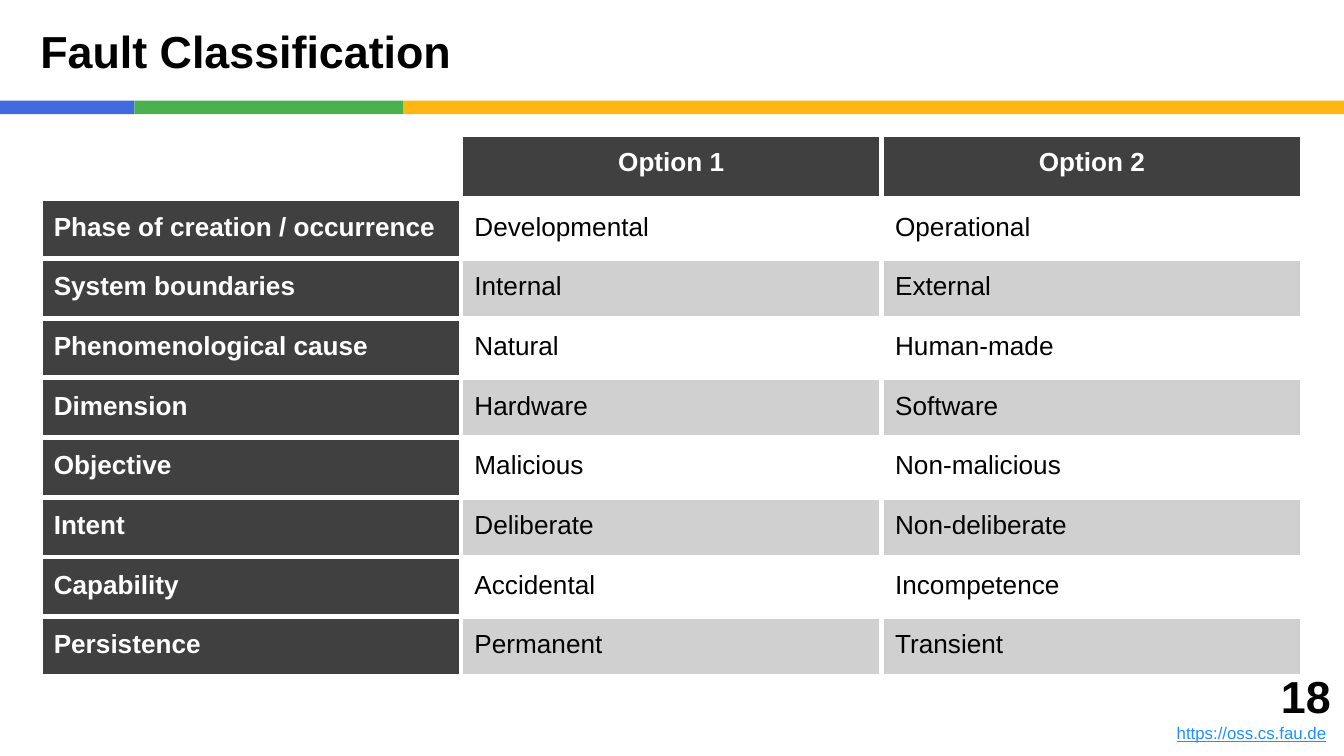
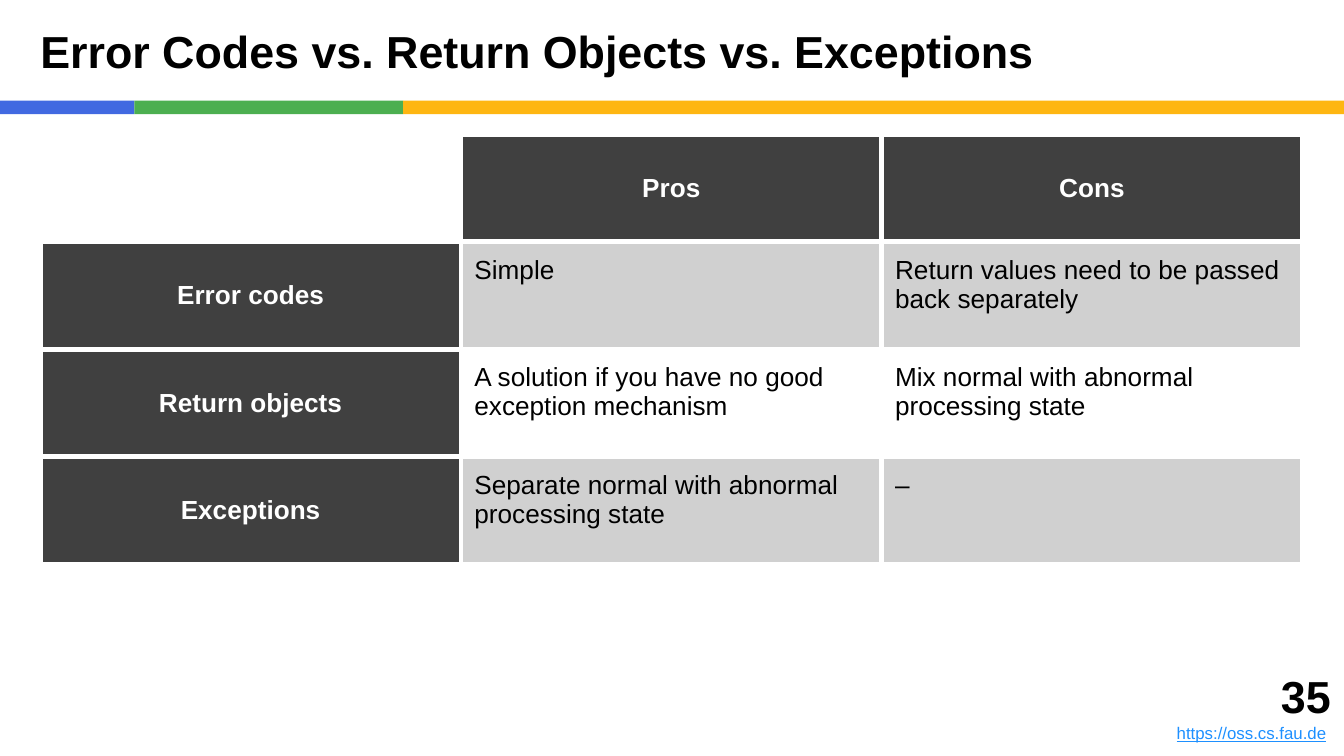
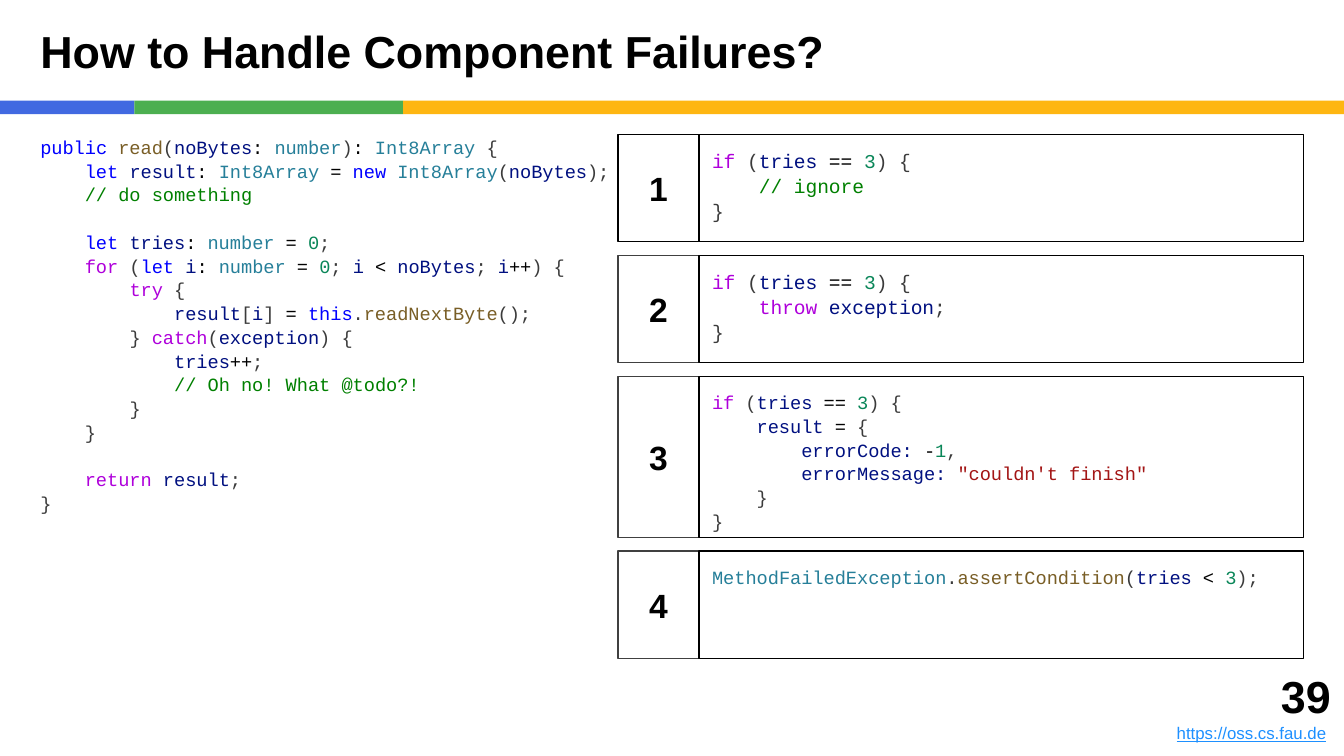
from itertools import groupby

from lxml import etree
from pptx import Presentation
from pptx.dml.color import RGBColor
from pptx.enum import shapes, text
from pptx.oxml import ns
from pptx.util import Inches, Pt

BLACK = RGBColor(0x00, 0x00, 0x00)
WHITE = RGBColor(0xFF, 0xFF, 0xFF)
DARK = RGBColor(0x40, 0x40, 0x40)
GREY = RGBColor(0xD0, 0xD0, 0xD0)
BLUE = RGBColor(0x41, 0x69, 0xE1)
GREEN = RGBColor(0x4C, 0xAF, 0x50)
YELLOW = RGBColor(0xFE, 0xB6, 0x12)
LINK = RGBColor(0x1E, 0x90, 0xFF)

PUNCTUATION = RGBColor(0x3B, 0x3B, 0x3B)
VARIABLE = RGBColor(0x00, 0x10, 0x80)
DECLARATION = RGBColor(0x00, 0x00, 0xFF)
CONTROL = RGBColor(0xAF, 0x00, 0xDB)
FUNCTION = RGBColor(0x79, 0x5E, 0x26)
TYPE = RGBColor(0x26, 0x7F, 0x99)
NUMBER = RGBColor(0x09, 0x86, 0x58)
COMMENT = RGBColor(0x00, 0x80, 0x00)
STRING = RGBColor(0xA3, 0x15, 0x15)

WORD_GROUPS = [
    (DECLARATION, "public let new this"),
    (CONTROL, "if for try catch throw return"),
    (FUNCTION, "read readNextByte assertCondition"),
    (TYPE, "number Int8Array MethodFailedException"),
    (NUMBER, "0 1 3"),
]
WORD_COLORS = {word: color for color, words in WORD_GROUPS for word in words.split()}

SITE = "https://oss.cs.fau.de"
LEFT, TOP = 0.3, 1
COLUMN_WIDTH = 3.13
BANDS = [(0, 1, BLUE), (1, 2, GREEN), (3, 7, YELLOW)]


def style_text(paragraph, size, color, bold=False, alignment=text.PP_ALIGN.LEFT):
    paragraph.alignment = alignment
    for run in paragraph.runs:
        run.font.name = "Arial"
        run.font.size = Pt(size)
        run.font.bold = bold
        run.font.color.rgb = color


def write_code(frame, code, size):
    for index, line in enumerate(code.split("\n")):
        paragraph = frame.add_paragraph() if index else frame.paragraphs[0]
        paragraph.alignment = text.PP_ALIGN.LEFT
        paragraph.line_spacing = 1.06
        paragraph.font.size = Pt(size)
        statement, slashes, comment = line.partition("//")
        word_colon = ":" if statement.strip().startswith("error") else ""
        pieces = []
        for position, part in enumerate(statement.split('"')):
            if position % 2:
                pieces.append((f'"{part}"', STRING))
                continue
            for is_word, characters in groupby(part, lambda c: c.isalnum() or c == word_colon):
                token = "".join(characters)
                if is_word:
                    pieces.append((token, WORD_COLORS.get(token, VARIABLE)))
                    continue
                for is_operator, symbols in groupby(token, lambda c: c in ":=<+-"):
                    pieces.append(("".join(symbols), BLACK if is_operator else PUNCTUATION))
        if slashes:
            pieces.append((slashes + comment, COMMENT))
        for token, color in pieces:
            run = paragraph.add_run()
            run.text = token
            run.font.name = "Courier New"
            run.font.size = Pt(size)
            run.font.color.rgb = color


presentation = Presentation()
presentation.slide_width = Inches(10)
presentation.slide_height = Inches(5.625)
layout = presentation.slide_layouts[5]

slides = []
for title_text, page in [
    ("Fault Classification", "18"),
    ("Error Codes vs. Return Objects vs. Exceptions", "35"),
    ("How to Handle Component Failures?", "39"),
]:
    slide = presentation.slides.add_slide(layout)
    slides.append(slide)
    title = slide.shapes.title
    title.left, title.top, title.width, title.height = 0, 0, Inches(10), Inches(0.75)
    frame = title.text_frame
    frame.text = title_text
    frame.auto_size = text.MSO_AUTO_SIZE.NONE
    frame.vertical_anchor = text.MSO_ANCHOR.MIDDLE
    frame.margin_left = Inches(LEFT)
    frame.margin_right = frame.margin_top = frame.margin_bottom = Inches(0.1)
    style_text(frame.paragraphs[0], 24, BLACK, True)

    footer = slide.shapes.add_textbox(Inches(8), Inches(4.83), Inches(2), Inches(0.8))
    frame = footer.text_frame
    frame.word_wrap = True
    frame.vertical_anchor = text.MSO_ANCHOR.BOTTOM
    frame.margin_left = frame.margin_right = Inches(0.1)
    frame.margin_top = frame.margin_bottom = Inches(0.1)
    frame.text = page
    style_text(frame.paragraphs[0], 24, BLACK, True, text.PP_ALIGN.RIGHT)
    paragraph = frame.add_paragraph()
    paragraph.text = SITE
    paragraph.add_run().text = " "
    style_text(paragraph, 9, LINK, False, text.PP_ALIGN.RIGHT)
    paragraph.runs[0].font.underline = True

for index, (left, width, color) in enumerate(BANDS):
    band = slides[0].shapes.add_shape(
        shapes.MSO_SHAPE.RECTANGLE, Inches(left), Inches(0.75), Inches(width), Inches(0.1))
    band.shadow.inherit = False
    band.fill.solid()
    band.fill.fore_color.rgb = color
    band.line.fill.background()
    band.element.nvSpPr.cNvPr.id = 20 + index
    layout.shapes.element.append(band.element)

FAULTS = [
    ("", "Option 1", "Option 2"),
    ("Phase of creation / occurrence", "Developmental", "Operational"),
    ("System boundaries", "Internal", "External"),
    ("Phenomenological cause", "Natural", "Human-made"),
    ("Dimension", "Hardware", "Software"),
    ("Objective", "Malicious", "Non-malicious"),
    ("Intent", "Deliberate", "Non-deliberate"),
    ("Capability", "Accidental", "Incompetence"),
    ("Persistence", "Permanent", "Transient"),
]
MECHANISMS = [
    ("", "Pros", "Cons"),
    ("Error codes", "Simple", "Return values need to be passed back separately"),
    ("Return objects", "A solution if you have no good exception mechanism",
     "Mix normal with abnormal processing state"),
    ("Exceptions", "Separate normal with abnormal processing state", "–"),
]

for slide, rows, header_height, row_height, grey_remainder, centered in [
    (slides[0], FAULTS, 0.48, 4 / 9, 0, False),
    (slides[1], MECHANISMS, 0.8, 0.8, 1, True),
]:
    height = header_height + row_height * (len(rows) - 1)
    table = slide.shapes.add_table(
        len(rows), 3, Inches(LEFT), Inches(TOP), Inches(3 * COLUMN_WIDTH), Inches(height)).table
    table.first_row = table.horz_banding = False
    for column in table.columns:
        column.width = Inches(COLUMN_WIDTH)
    for row_index, row in enumerate(rows):
        table.rows[row_index].height = Inches(row_height if row_index else header_height)
        for column_index, value in enumerate(row):
            cell = table.cell(row_index, column_index)
            properties = cell._tc.get_or_add_tcPr()
            for side in ("lnL", "lnR", "lnT", "lnB"):
                border = etree.SubElement(properties, ns.qn(f"a:{side}"), w=str(Pt(3)))
                fill = etree.SubElement(border, ns.qn("a:solidFill"))
                etree.SubElement(fill, ns.qn("a:srgbClr"), val=str(WHITE))
            if not value:
                cell.fill.background()
                continue
            is_header = row_index == 0
            is_label = is_header or column_index == 0
            cell.fill.solid()
            if is_label:
                cell.fill.fore_color.rgb = DARK
            else:
                cell.fill.fore_color.rgb = GREY if row_index % 2 == grey_remainder else WHITE
            cell.margin_left = cell.margin_right = Inches(0.1)
            cell.margin_top = cell.margin_bottom = Inches(0.1)
            if is_label and centered:
                cell.vertical_anchor = text.MSO_ANCHOR.MIDDLE
            cell.text_frame.text = value
            alignment = text.PP_ALIGN.LEFT
            if is_header or is_label and centered:
                alignment = text.PP_ALIGN.CENTER
            style_text(cell.text_frame.paragraphs[0], 14,
                       WHITE if is_label else BLACK, is_label, alignment)

READ_METHOD = """public read(noBytes: number): Int8Array {
    let result: Int8Array = new Int8Array(noBytes);
    // do something

    let tries: number = 0;
    for (let i: number = 0; i < noBytes; i++) {
        try {
            result[i] = this.readNextByte();
        } catch(exception) {
            tries++;
            // Oh no! What @todo?!
        }
    }

    return result;
}"""
IGNORE = """if (tries == 3) {
    // ignore
}"""
THROW = """if (tries == 3) {
    throw exception;
}"""
RETURN_ERROR = """if (tries == 3) {
    result = {
        errorCode: -1,
        errorMessage: "couldn't finish"
    }
}"""
ASSERT = "MethodFailedException.assertCondition(tries < 3);"

slide = slides[2]
method = slide.shapes.add_textbox(Inches(LEFT), Inches(TOP), Inches(9.4), Inches(4.5))
frame = method.text_frame
frame.word_wrap = True
frame.margin_left = frame.margin_right = frame.margin_top = frame.margin_bottom = 0
write_code(frame, READ_METHOD, 10)

top = TOP
for number, (code, size, height) in enumerate(
        [(IGNORE, 10.5, 0.8), (THROW, 10.5, 0.8), (RETURN_ERROR, 10, 1.2), (ASSERT, 10, 0.8)], 1):
    for left, width, line_color in [
        (4.6, 0.6, BLACK if number == 1 else DARK),
        (5.2, 4.5, BLACK),
    ]:
        box = slide.shapes.add_shape(
            shapes.MSO_SHAPE.RECTANGLE, Inches(left), Inches(top), Inches(width), Inches(height))
        box.shadow.inherit = False
        box.fill.background()
        box.line.color.rgb = line_color
        box.line.width = Pt(0.75)
        frame = box.text_frame
        frame.word_wrap = True
        frame.margin_left = frame.margin_right = Inches(0.1)
        frame.margin_top = frame.margin_bottom = Inches(0.1)
        if left == 4.6:
            frame.vertical_anchor = text.MSO_ANCHOR.MIDDLE
            frame.text = str(number)
            style_text(frame.paragraphs[0], 18, BLACK, True, text.PP_ALIGN.CENTER)
        else:
            frame.vertical_anchor = text.MSO_ANCHOR.TOP
            write_code(frame, code, size)
    top += height + 0.1

presentation.save("out.pptx")
